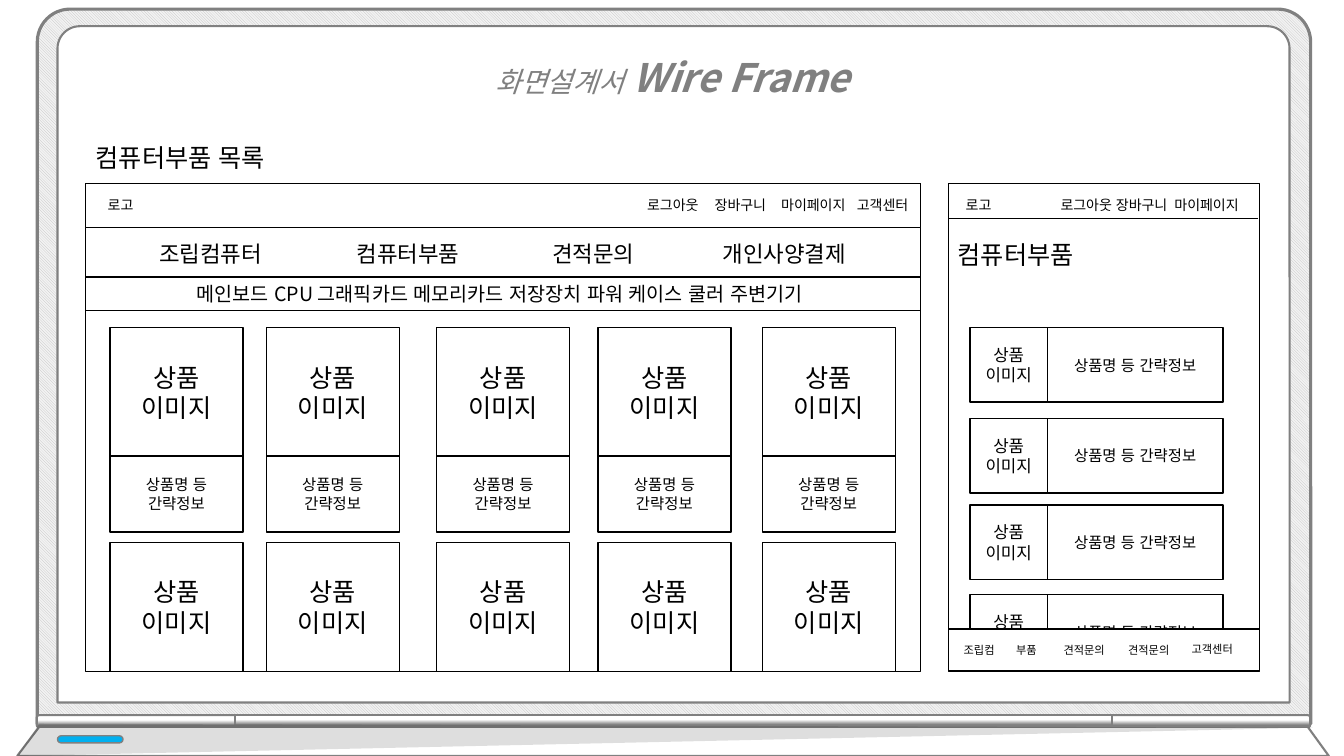
"""Build the parts-list wireframe slide inside a laptop frame."""
from dataclasses import dataclass
from typing import Optional

from lxml.etree import SubElement
from pptx import Presentation
from pptx.dml.color import RGBColor
from pptx.enum.dml import MSO_PATTERN
from pptx.enum.lang import MSO_LANGUAGE_ID
from pptx.enum.shapes import MSO_CONNECTOR, MSO_SHAPE as SHAPE
from pptx.enum.text import MSO_ANCHOR, MSO_AUTO_SIZE, PP_ALIGN as ALIGN
from pptx.oxml.ns import qn
from pptx.util import Inches, Pt

FONT = "Noto Sans CJK KR"
COLORS = {
    "ink": "000000", "divider": "0D0D0D", "paper": "FFFFFF", "frame": "808080",
    "hatch": "BFBFBF", "hatch_back": "F2F2F2", "light": "00B0F0",
}
IMAGE_TEXT = "상품\n이미지"
INFO_TEXT = "상품명 등 간략정보"


@dataclass(frozen=True)
class Box:
    x: float
    y: float
    w: float
    h: float
    text: str = ""
    size: float = 18
    fill: Optional[str] = None
    align: ALIGN = ALIGN.CENTER
    tabs: tuple[float, ...] = ()


@dataclass(frozen=True)
class Label:
    x: float
    y: float
    w: float
    h: float
    text: str
    size: float
    align: ALIGN = ALIGN.LEFT
    tabs: tuple[float, ...] = ()


@dataclass(frozen=True)
class Part:
    kind: SHAPE
    x: float
    y: float
    w: float
    h: float
    adj: tuple[float, ...]
    fill: str
    width: float = 1.5
    rotation: float = 0
    flip: bool = False


@dataclass(frozen=True)
class Rule:
    x1: float
    x2: float
    y: float
    color: str


def rgb(name: str) -> RGBColor:
    return RGBColor.from_string(COLORS[name])


def place(item) -> tuple:
    return tuple(Inches(v) for v in (item.x, item.y, item.w, item.h))


def outline(sp, color: str, width: float) -> None:
    sp.shadow.inherit = False
    sp.line.color.rgb = rgb(color)
    sp.line.width = Pt(width)


def solid(sp, color: str) -> None:
    sp.fill.solid()
    sp.fill.fore_color.rgb = rgb(color)


def style_run(r, size: float, color: str = "ink") -> None:
    r.font.size = Pt(size)
    r.font.color.rgb = rgb(color)
    r.font.name = FONT
    r.font.language_id = MSO_LANGUAGE_ID.KOREAN
    SubElement(r.font._element, qn("a:ea"), typeface=FONT)


def write(tf, item) -> None:
    tf.word_wrap = True
    tf.text = item.text
    for p in tf.paragraphs:
        p.alignment = item.align
        if item.tabs:
            tab_list = SubElement(p._p.get_or_add_pPr(), qn("a:tabLst"))
            for stop in item.tabs:
                SubElement(tab_list, qn("a:tab"), pos=str(Inches(stop)), algn="l")
        for r in p.runs:
            style_run(r, item.size)


def draw_box(shapes, box: Box) -> None:
    sp = shapes.add_shape(SHAPE.RECTANGLE, *place(box))
    outline(sp, "ink", 1)
    if box.fill:
        solid(sp, box.fill)
    else:
        sp.fill.background()
    if box.text:
        sp.text_frame.vertical_anchor = MSO_ANCHOR.MIDDLE
        write(sp.text_frame, box)


def draw_label(shapes, label: Label) -> None:
    tf = shapes.add_textbox(*place(label)).text_frame
    write(tf, label)
    tf.auto_size = MSO_AUTO_SIZE.SHAPE_TO_FIT_TEXT


def draw_rule(shapes, rule: Rule) -> None:
    y = Inches(rule.y)
    line = shapes.add_connector(MSO_CONNECTOR.STRAIGHT, Inches(rule.x1), y, Inches(rule.x2), y)
    line.line.color.rgb = rgb(rule.color)
    line.line.width = Pt(0.5)
    SubElement(line.element.spPr, qn("a:effectLst"))


def draw_part(shapes, part: Part) -> None:
    sp = shapes.add_shape(part.kind, *place(part))
    for i, value in enumerate(part.adj):
        sp.adjustments[i] = value
    sp.rotation = part.rotation
    if part.flip:
        sp.element.spPr.xfrm.set("flipH", "1")
    if part.fill == "hatch":
        sp.fill.patterned()
        sp.fill.pattern = MSO_PATTERN.LIGHT_DOWNWARD_DIAGONAL
        sp.fill.fore_color.rgb = rgb("hatch")
        sp.fill.back_color.rgb = rgb("hatch_back")
    elif part.fill == "gradient":
        sp.fill.gradient()
        sp.fill.gradient_angle = 0
        for stop, color, pos in zip(sp.fill.gradient_stops, ("frame", "paper"), (0.17, 0.59)):
            stop.color.rgb = rgb(color)
            stop.position = pos
    else:
        solid(sp, part.fill)
    outline(sp, "frame", part.width)


def draw_polygon(shapes, points: list[tuple[float, float]], color: str):
    start, *rest = [(Inches(x), Inches(y)) for x, y in points]
    builder = shapes.build_freeform(*start)
    builder.add_line_segments(rest, close=True)
    sp = builder.convert_to_shape()
    solid(sp, color)
    outline(sp, "frame", 1.5)
    return sp


def draw_laptop(shapes) -> None:
    top = SHAPE.ROUND_2_SAME_RECTANGLE
    for part in (
        Part(top, 0.37, 0.09, 12.63, 7.09, (0.046, 0), "hatch", 2.25),
        Part(top, 0.57, 0.26, 12.22, 6.71, (0.033, 0), "paper"),
        Part(top, 1.29, 6.17, 0.12, 1.97, (0.193, 0), "gradient", rotation=270),
        Part(top, 11.95, 6.17, 0.12, 1.97, (0.193, 0), "gradient", rotation=90, flip=True),
        Part(top, 6.62, 2.8, 0.12, 8.7, (0, 0), "gradient", rotation=270),
    ):
        draw_part(shapes, part)
    draw_polygon(shapes, [(0.39, 7.21), (12.97, 7.21), (13.18, 7.5), (0.17, 7.5)], "paper")
    shade = draw_polygon(shapes, [(0.39, 7.18), (0.17, 7.5), (13.02, 7.22)], "ink")
    shade.line.fill.background()
    color = shade.element.spPr.find(qn("a:solidFill")).find(qn("a:srgbClr"))
    SubElement(color, qn("a:alpha"), val="13000")
    draw_part(shapes, Part(SHAPE.ROUNDED_RECTANGLE, 0.57, 7.3, 0.65, 0.07, (0.5,), "light", 1))


def draw_title(shapes) -> None:
    tf = shapes.add_textbox(Inches(3.67), Inches(0.25), Inches(6), Inches(0.81)).text_frame
    tf.word_wrap = True
    tf.auto_size = MSO_AUTO_SIZE.SHAPE_TO_FIT_TEXT
    p = tf.paragraphs[0]
    p.alignment = ALIGN.CENTER
    p.line_spacing = 1.5
    for text, size, bold in (("화면설계서 ", 20, False), ("Wire Frame", 28, True)):
        r = p.add_run()
        r.text = text
        style_run(r, size, "frame")
        r.font.italic = True
        r.font.bold = bold


def draw_desktop(shapes) -> None:
    for h in (4.84, 0.44):
        draw_box(shapes, Box(0.85, 1.82, 8.28, h, fill="paper"))
    for label in (
        Label(0.85, 2.33, 8.28, 0.37, "\t조립컴퓨터\t컴퓨터부품\t견적문의\t개인사양결제", 16,
              tabs=(0.63, 2.59, 4.53, 6.22)),
        Label(6.01, 1.9, 3.11, 0.27, "\t로그아웃\t장바구니\t마이페이지\t고객센터", 10,
              tabs=(0.31, 0.98, 1.64, 2.39)),
        Label(0.97, 1.9, 2.41, 0.27, "로고", 10),
        Label(0.85, 1.36, 3.11, 0.4, "컴퓨터부품 목록", 18),
    ):
        draw_label(shapes, label)
    draw_rule(shapes, Rule(0.85, 9.11, 2.75, "divider"))
    draw_box(shapes, Box(0.85, 2.75, 8.28, 0.33,
                         "\t메인보드 CPU 그래픽카드 메모리카드 저장장치 파워 케이스 쿨러 주변기기",
                         14, align=ALIGN.LEFT, tabs=(1,)))
    for x in (1.09, 2.64, 4.33, 5.93, 7.56):
        for y in (3.25, 5.38):
            draw_box(shapes, Box(x, y, 1.32, 1.28, IMAGE_TEXT))
        draw_box(shapes, Box(x, 4.52, 1.32, 0.76, INFO_TEXT, 11))


def draw_mobile(shapes) -> None:
    draw_box(shapes, Box(9.41, 1.82, 3.08, 4.84, fill="paper"))
    for y in (3.25, 4.15, 5.01, 5.9):
        draw_box(shapes, Box(9.62, y, 0.77, 0.74, IMAGE_TEXT, 12))
        draw_box(shapes, Box(10.39, y, 1.74, 0.74, INFO_TEXT, 11))
    draw_rule(shapes, Rule(9.41, 12.48, 2.17, "ink"))
    draw_box(shapes, Box(9.41, 6.24, 3.08, 0.41, fill="paper"))
    for label in (
        Label(9.48, 1.9, 0.52, 0.27, "로고", 10),
        Label(10.07, 1.9, 2.42, 0.27, "\t로그아웃\t장바구니\t마이페이지", 10, tabs=(0.35, 0.9, 1.48)),
        Label(9.46, 6.33, 0.57, 0.24, "조립컴", 8),
        Label(9.98, 6.33, 0.57, 0.24, "부품", 8),
        Label(10.45, 6.33, 0.66, 0.24, "견적문의", 8),
        Label(11.09, 6.33, 0.66, 0.24, "견적문의", 8),
        Label(11.72, 6.32, 0.86, 0.24, "고객센터", 8),
        Label(9.4, 2.33, 2.29, 0.4, "컴퓨터부품", 18),
    ):
        draw_label(shapes, label)


def main() -> None:
    prs = Presentation()
    prs.slide_width, prs.slide_height = Inches(13.33), Inches(7.5)
    s = prs.slides.add_slide(prs.slide_layouts[6])
    draw_laptop(s.shapes.add_group_shape().shapes)
    draw_desktop(s.shapes)
    draw_title(s.shapes)
    draw_mobile(s.shapes)
    prs.save("out.pptx")


if __name__ == "__main__":
    main()
